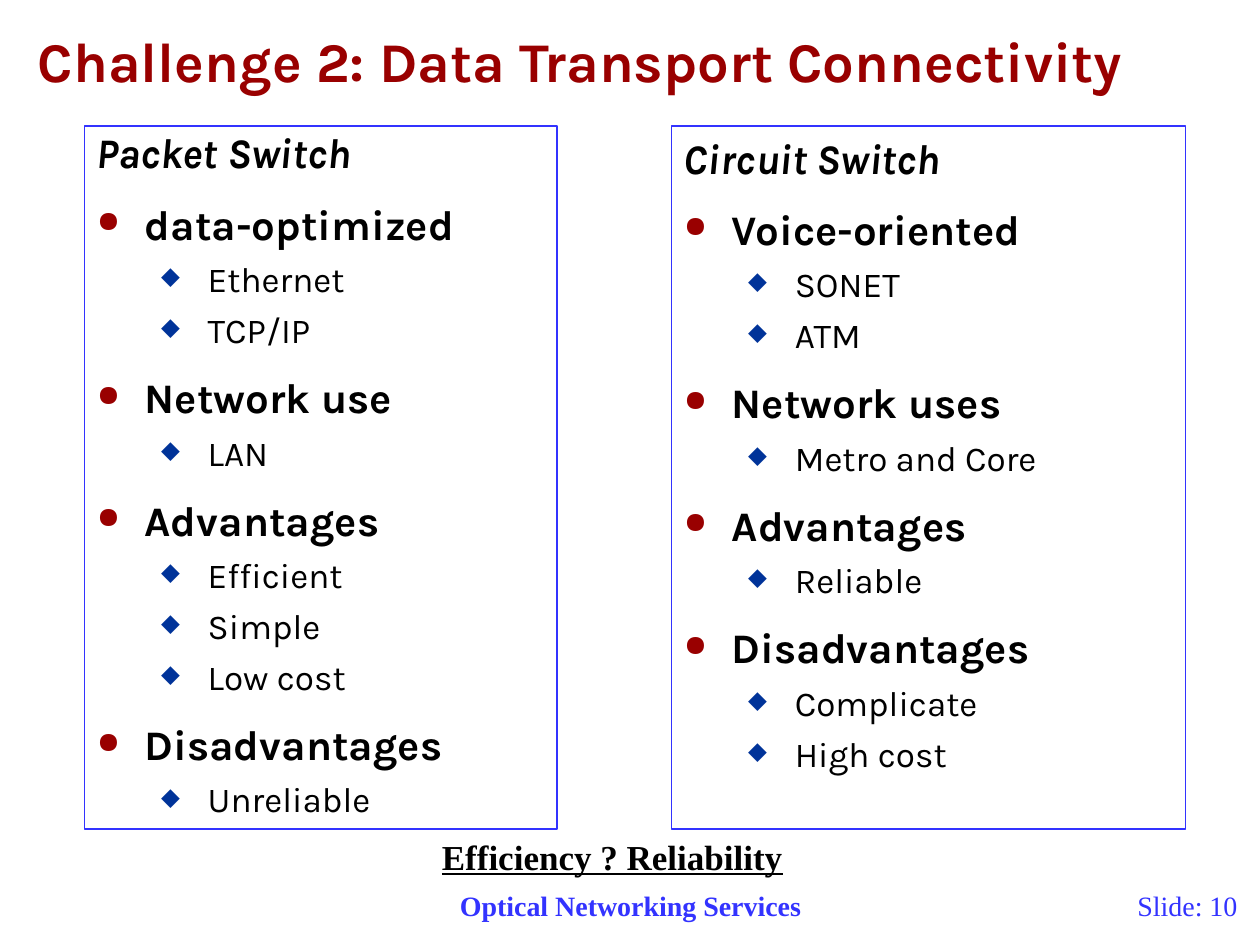
from dataclasses import dataclass

from lxml.etree import SubElement
from pptx import Presentation
from pptx.dml.color import RGBColor
from pptx.enum.shapes import MSO_SHAPE as Shape
from pptx.enum.text import MSO_ANCHOR as Anchor, MSO_AUTO_SIZE as AutoSize, PP_ALIGN as Align
from pptx.oxml.ns import qn
from pptx.util import Inches, Pt


@dataclass(frozen=True)
class Theme:
    sans: str = "Karla"
    serif: str = "Times New Roman"
    black: str = "000000"
    red: str = "990000"
    navy: str = "003399"
    blue: str = "3333FF"
    title: int = 32
    heading: int = 24
    item: int = 20
    footer: int = 16
    bullet_percent: int = 70


THEME = Theme()

PACKET_SWITCH = [
    ("data-optimized", ["Ethernet", "TCP/IP"]),
    ("Network use", ["LAN"]),
    ("Advantages", ["Efficient", "Simple", "Low cost"]),
    ("Disadvantages", ["Unreliable"]),
]
CIRCUIT_SWITCH = [
    ("Voice-oriented", ["SONET", "ATM"]),
    ("Network uses", ["Metro and Core"]),
    ("Advantages", ["Reliable"]),
    ("Disadvantages", ["Complicate", "High cost"]),
]


def place(shape, left, top, width, height):
    shape.left, shape.top = Inches(left), Inches(top)
    shape.width, shape.height = Inches(width), Inches(height)


def set_bullet(para, char, color, left, hanging):
    props = para._p.get_or_add_pPr()
    props.set("marL", str(Inches(left)))
    props.set("indent", str(-Inches(hanging)))
    if char:
        fill = SubElement(props, qn("a:buClr"))
        SubElement(fill, qn("a:srgbClr")).set("val", color)
        SubElement(props, qn("a:buSzPct")).set("val", str(THEME.bullet_percent * 1000))
        SubElement(props, qn("a:buChar")).set("char", char)


def write(para, text, size, face=THEME.sans, color=THEME.black, bold=False, italic=False,
          underline=False, align=Align.LEFT, spacing=None, before=None):
    para.alignment = align
    if spacing is not None:
        para.line_spacing = spacing
    if before is not None:
        para.space_before = Pt(before)
    span = para.add_run()
    span.text = text
    font = span.font
    font.name, font.size = face, Pt(size)
    font.bold, font.italic, font.underline = bold, italic, underline
    font.color.rgb = RGBColor.from_string(color)


def add_title(page, text):
    title = page.shapes.title
    place(title, 0.25, 0.27, 9.33, 0.48)
    frame = title.text_frame
    frame.auto_size = AutoSize.SHAPE_TO_FIT_TEXT
    frame.vertical_anchor = Anchor.TOP
    frame.margin_left = frame.margin_right = Inches(0.05)
    frame.margin_top = frame.margin_bottom = 0
    write(frame.paragraphs[0], text, THEME.title, color=THEME.red, bold=True, spacing=0.9)


def add_panel(page, left, width, name, groups, name_spacing):
    panel = page.shapes.add_shape(Shape.RECTANGLE, Inches(left), Inches(1),
                                  Inches(width), Inches(5.58))
    panel.shadow.inherit = False
    panel.fill.background()
    panel.line.color.rgb = RGBColor.from_string(THEME.blue)
    panel.line.width = Pt(0.75)
    frame = panel.text_frame
    frame.word_wrap = True
    frame.vertical_anchor = Anchor.TOP
    para = frame.paragraphs[0]
    set_bullet(para, None, None, 0.38, 0.38)
    write(para, name, THEME.heading, bold=True, italic=True, spacing=name_spacing)
    for heading, items in groups:
        para = frame.add_paragraph()
        set_bullet(para, "●", THEME.red, 0.38, 0.38)
        write(para, heading, THEME.heading, bold=True, spacing=0.9, before=15)
        for item in items:
            para = frame.add_paragraph()
            para.level = 1
            set_bullet(para, "◆", THEME.navy, 0.88, 0.37)
            write(para, item, THEME.item, spacing=0.9, before=7.5)


def add_label(page, text, left, top, width, height, size, **style):
    box = page.shapes.add_textbox(Inches(left), Inches(top), Inches(width), Inches(height))
    box.text_frame.word_wrap = True
    write(box.text_frame.paragraphs[0], text, size, face=THEME.serif, **style)


def main():
    deck = Presentation()
    deck.slide_width, deck.slide_height = Inches(10), Inches(7.5)
    page = deck.slides.add_slide(deck.slide_layouts[5])
    add_title(page, "Challenge 2: Data Transport Connectivity")
    add_panel(page, 0.67, 3.75, "Packet Switch", PACKET_SWITCH, 0.9)
    add_panel(page, 5.33, 4.08, "Circuit Switch", CIRCUIT_SWITCH, 1.0)
    add_label(page, "Efficiency ? Reliability", 3.31, 6.58, 3.1, 0.44, THEME.item,
              bold=True, underline=True, align=Align.CENTER)
    add_label(page, "Optical Networking Services", 3.42, 7, 3.17, 0.33, THEME.footer,
              color=THEME.blue, bold=True, align=Align.CENTER)
    add_label(page, "Slide: 10", 8.25, 7, 1.67, 0.33, THEME.footer,
              color=THEME.blue, align=Align.RIGHT)
    deck.save("out.pptx")


if __name__ == "__main__":
    main()
